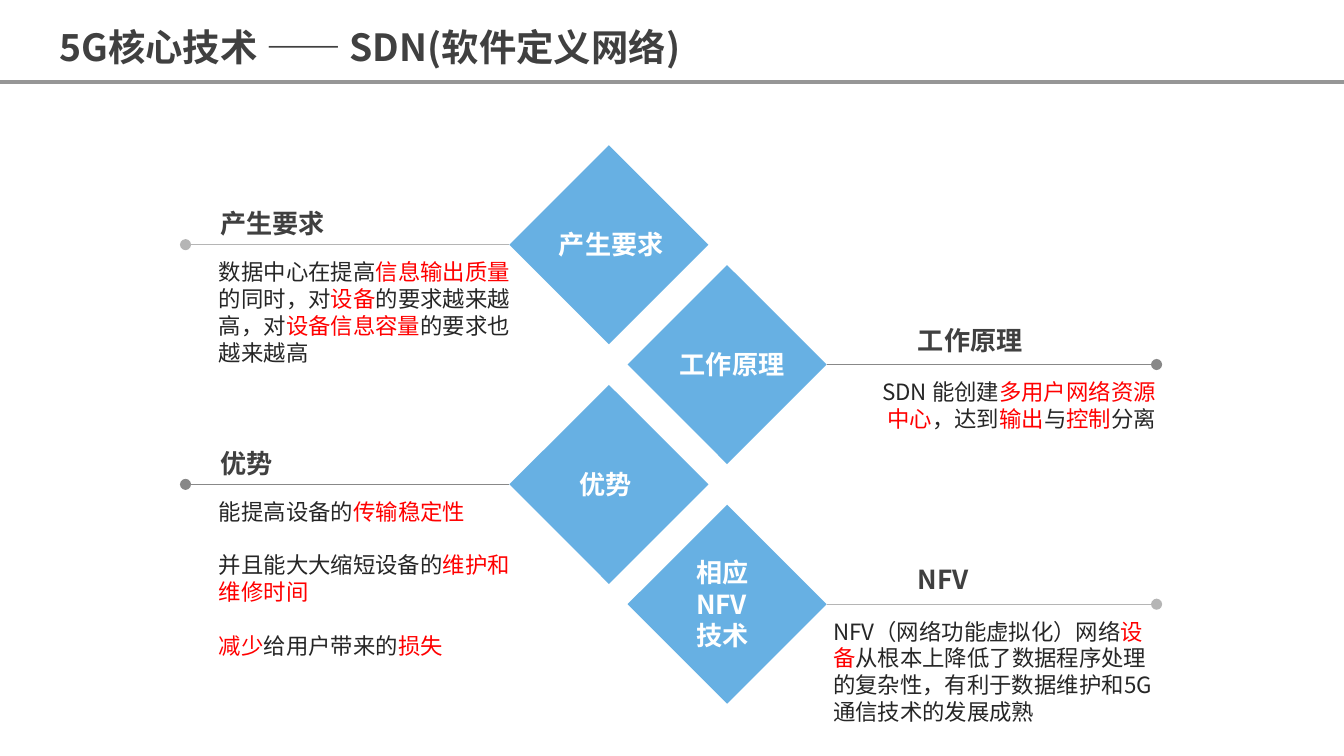
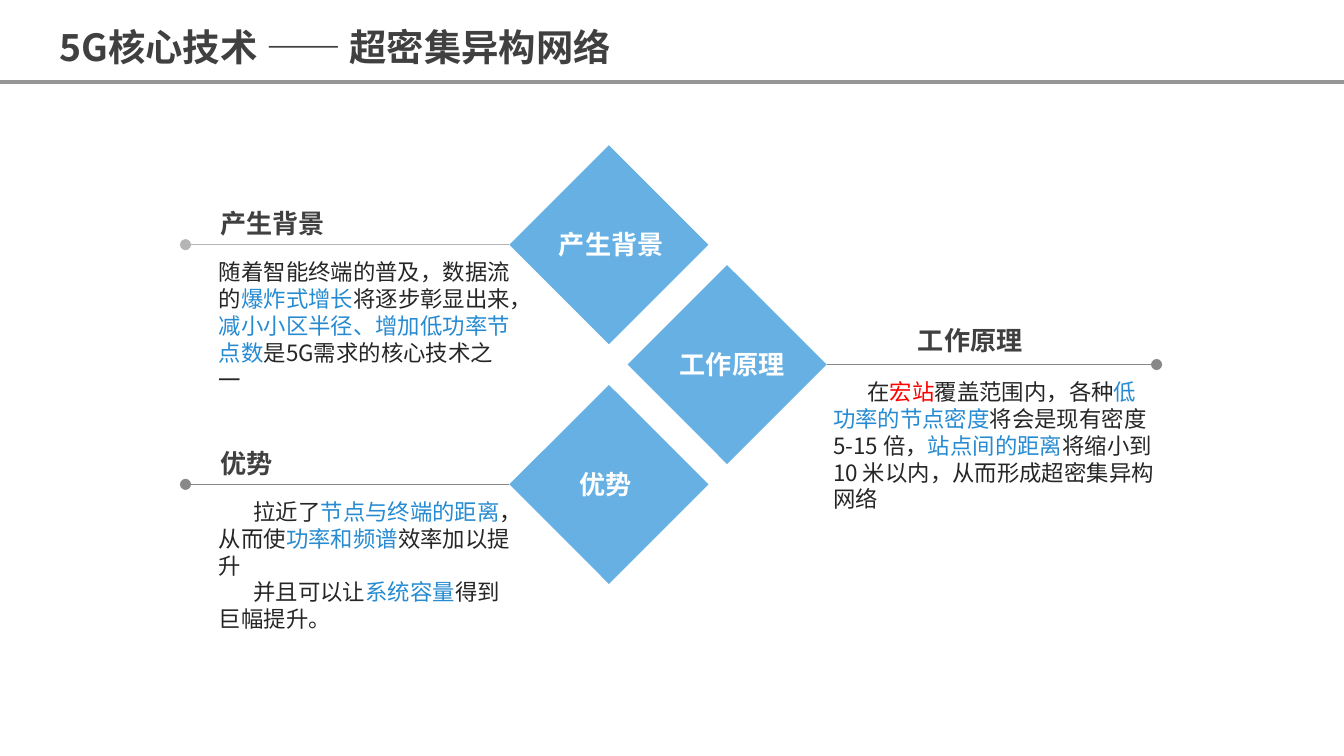
from dataclasses import dataclass

from pptx import Presentation
from pptx.dml.color import RGBColor
from pptx.enum.shapes import MSO_CONNECTOR as Connector, MSO_SHAPE as Shape
from pptx.enum.text import MSO_ANCHOR as Anchor, MSO_AUTO_SIZE as AutoSize, PP_ALIGN as Align
from pptx.oxml.ns import qn
from pptx.util import Pt
from lxml.etree import SubElement


@dataclass(frozen=True)
class Theme:
    font: str = "Noto Sans CJK SC"
    title_size: float = 20
    heading_size: float = 14
    body_size: float = 12
    heading: str = "404040"
    body: str = "262626"
    white: str = "FFFFFF"
    diamond: str = "67B0E3"
    red: str = "FF0000"
    blue: str = "278BD1"
    rule: str = "969696"
    light_line: str = "B5B5B5"
    dark_line: str = "888888"


@dataclass
class Topic:
    heading: str
    heading_width: float
    label: list
    label_left: float
    label_width: float
    paragraphs: list
    lines: int
    align: Align = Align.LEFT
    indent: float = 0
    gap: float = 0


THEME = Theme()
WIDTH, HEIGHT = 720, 405
RULE_TOP = 43.9
DIAMOND = 106.6
DIAMOND_LEFTS = (272.9, 336.2)
FIRST_TOP, STEP = 77.8, 64.2
LINE_ENDS = (99.4, 619.6)
HEADING_LEFTS = (110.9, 484.6)
HEADING_RISES = (23.6, 25.2)
BODY_LEFTS = (110.2, 439.2)
BODY_WIDTHS = (170.6, 187.2)
BODY_DROP = 3.7
BODY_LINE, LABEL_LINE, INSETS = 14.6, 17, 7.2


class Builder:
    def __init__(self, theme):
        self.theme = theme
        self.deck = Presentation()
        self.deck.slide_width, self.deck.slide_height = Pt(WIDTH), Pt(HEIGHT)
        self.layout = self.deck.slide_layouts[5]
        self.page = None

    def new_page(self, title, title_width):
        self.page = self.deck.slides.add_slide(self.layout)
        if len(self.deck.slides) == 1:
            self.shared_rule()
        box = self.page.shapes.title
        box.left, box.top = Pt(24.5), Pt(4.3)
        box.width, box.height = Pt(title_width), Pt(36)
        box.text_frame.vertical_anchor = Anchor.TOP
        self.fill_text(box, [title], self.theme.title_size, self.theme.heading, bold=True)
        box.text_frame.paragraphs[0].line_spacing = 1.2

    def shared_rule(self):
        rule = self.line((0, RULE_TOP), (WIDTH, RULE_TOP), self.theme.rule, 1.75)
        rule.element.xpath(".//p:cNvPr")[0].set("id", "20")
        self.layout.shapes.element.append(rule.element)

    def line(self, start, end, colour, weight=0.75, dot=False):
        line = self.page.shapes.add_connector(Connector.STRAIGHT, *map(Pt, start + end))
        line.line.color.rgb = RGBColor.from_string(colour)
        line.line.width = Pt(weight)
        properties = line.element.spPr
        if dot:
            SubElement(properties.find(qn("a:ln")), qn("a:tailEnd"), type="oval")
        SubElement(properties, qn("a:effectLst"))
        return line

    def fill_text(self, box, paragraphs, size, colour, bold=False, wrap=True,
                  align=Align.LEFT, indent=0, gap=0):
        frame = box.text_frame
        frame.word_wrap = wrap
        frame.auto_size = AutoSize.SHAPE_TO_FIT_TEXT
        for index, content in enumerate(paragraphs):
            para = frame.add_paragraph() if index else frame.paragraphs[0]
            para.alignment = align
            if indent:
                properties = para._p.get_or_add_pPr()
                properties.set("marL", "0")
                properties.set("indent", str(int(Pt(indent))))
            if index and gap:
                para.space_before = Pt(gap)
            for part in [content] if isinstance(content, str) else content:
                text, tint = (part, colour) if isinstance(part, str) else part
                span = para.add_run()
                span.text = text
                span.font.size, span.font.bold = Pt(size), bold
                span.font.color.rgb = RGBColor.from_string(tint)
                span.font.name = self.theme.font
                SubElement(span._r.get_or_add_rPr(), qn("a:ea"), typeface=self.theme.font)

    def text(self, place, paragraphs, size, colour, shapes=None, **style):
        box = (shapes or self.page.shapes).add_textbox(*map(Pt, place))
        self.fill_text(box, paragraphs, size, colour, **style)

    def diamond(self, left, top, topic):
        shapes = self.page.shapes.add_group_shape().shapes
        diamond = shapes.add_shape(Shape.DIAMOND, *map(Pt, (left, top, DIAMOND, DIAMOND)))
        diamond.shadow.inherit = False
        diamond.fill.solid()
        diamond.fill.fore_color.rgb = RGBColor.from_string(self.theme.diamond)
        diamond.line.fill.background()
        height = len(topic.label) * LABEL_LINE + INSETS
        place = (topic.label_left, top + (DIAMOND - height) / 2, topic.label_width, height)
        self.text(place, topic.label, self.theme.heading_size, self.theme.white,
                  shapes=shapes, bold=True, wrap=len(topic.label) > 1)

    def topic(self, index, topic):
        side = index % 2
        left, top = DIAMOND_LEFTS[side], FIRST_TOP + STEP * index
        middle = top + DIAMOND / 2
        self.text((BODY_LEFTS[side], middle + BODY_DROP, BODY_WIDTHS[side],
                   topic.lines * BODY_LINE + INSETS),
                  topic.paragraphs, self.theme.body_size, self.theme.body,
                  align=topic.align, indent=topic.indent, gap=topic.gap)
        self.text((HEADING_LEFTS[side], middle - HEADING_RISES[side],
                   topic.heading_width, LABEL_LINE + INSETS),
                  [topic.heading], self.theme.heading_size, self.theme.heading,
                  bold=True, wrap=False)
        self.diamond(left, top, topic)
        colour = self.theme.light_line if index in (0, 3) else self.theme.dark_line
        self.line((left + side * DIAMOND, middle), (LINE_ENDS[side], middle), colour, dot=True)


def red(text):
    return text, THEME.red


def blue(text):
    return text, THEME.blue


SDN = [
    Topic("产生要求", 71.3, ["产生要求"], 292.3, 71.3,
          [["数据中心在提高", red("信息输出质量"), "的同时，对", red("设备"),
            "的要求越来越高，对", red("设备信息容量"), "的要求也越来越高"]], 4),
    Topic("工作原理", 71.3, ["工作原理"], 357.1, 71.3,
          [["SDN 能创建", red("多用户网络资源中心"), "，达到", red("输出"),
            "与", red("控制"), "分离"]], 2, align=Align.RIGHT, indent=22.3),
    Topic("优势", 42.5, ["优势"], 303.1, 42.5,
          [["能提高设备的", red("传输稳定性")],
           ["并且能大大缩短设备的", red("维护和维修时间")],
           [red("减少"), "给用户带来的", red("损失")]], 6, gap=14.4),
    Topic("NFV", 44.6, ["相应", "NFV", "技术"], 365.8, 51.1,
          [["NFV（网络功能虚拟化）网络", red("设备"),
            "从根本上降低了数据程序处理的复杂性，有利于数据维护和5G 通信技术的发展成熟"]], 4),
]

DENSE_NETWORK = [
    Topic("产生背景", 71.3, ["产生背景"], 292.3, 71.3,
          [["随着智能终端的普及，数据流的", blue("爆炸式增长"), "将逐步彰显出来，",
            blue("减小小区半径、增加低功率节点数"), "是5G需求的核心技术之一"]], 5),
    Topic("工作原理", 71.3, ["工作原理"], 357.1, 71.3,
          [["在", red("宏站"), "覆盖范围内，各种", blue("低功率的节点密度"),
            "将会是现有密度5-15 倍，", blue("站点间的距离"),
            "将缩小到10 米以内，从而形成超密集异构网络"]], 5, indent=18.5),
    Topic("优势", 42.5, ["优势"], 303.1, 42.5,
          [["拉近了", blue("节点与终端的距离"), "，从而使", blue("功率和频谱"),
            "效率加以提升"],
           ["并且可以让", blue("系统容量"), "得到巨幅提升。"]], 5, indent=18.5),
]


def main():
    builder = Builder(THEME)
    for title, title_width, topics in (
        ("5G核心技术 —— SDN(软件定义网络)", 369.4, SDN),
        ("5G核心技术 —— 超密集异构网络", 352.1, DENSE_NETWORK),
    ):
        builder.new_page(title, title_width)
        for index, topic in enumerate(topics):
            builder.topic(index, topic)
    builder.deck.save("out.pptx")


if __name__ == "__main__":
    main()
